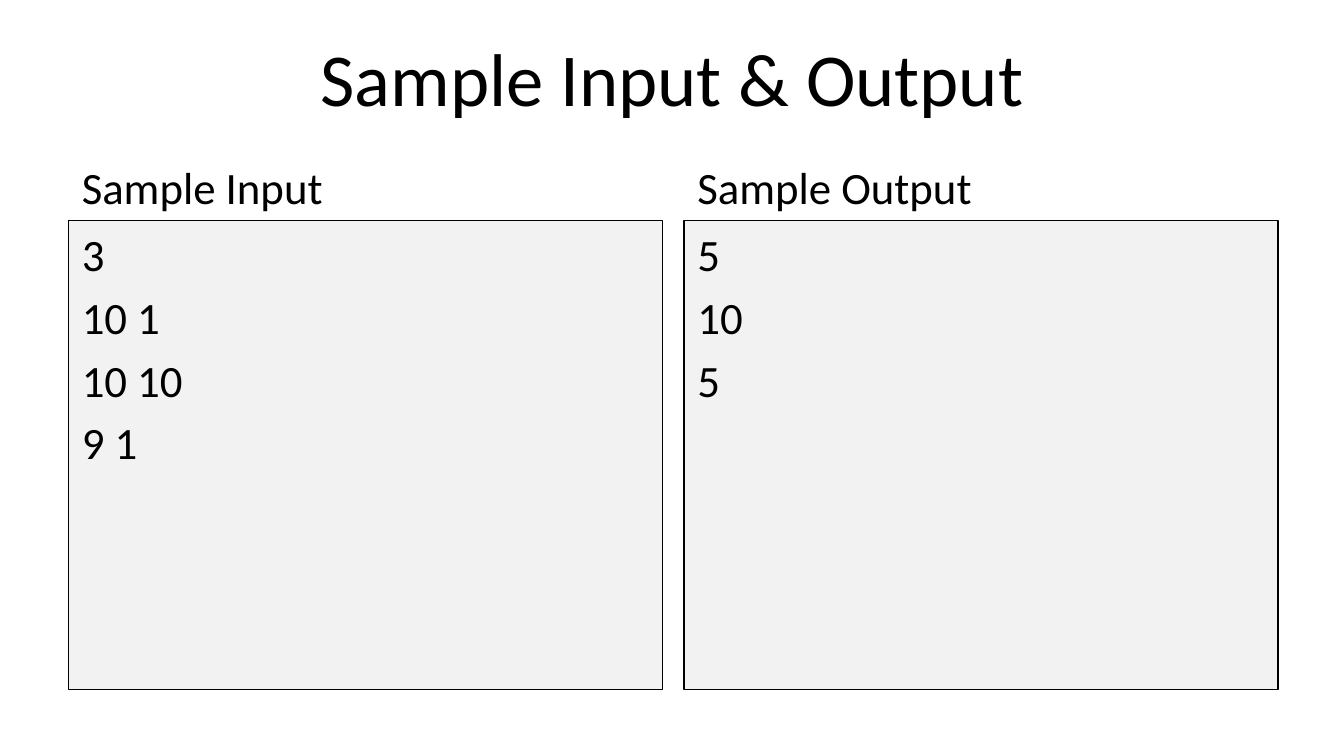
from dataclasses import dataclass

from pptx import Presentation
from pptx.dml.color import RGBColor
from pptx.enum.shapes import MSO_SHAPE
from pptx.enum.text import MSO_ANCHOR, PP_ALIGN
from pptx.shapes.autoshape import Shape
from pptx.slide import Slide
from pptx.util import Inches, Pt


@dataclass(frozen=True)
class Theme:
    """Colours, font and type sizes of the slide."""
    font: str = "Calibri"
    ink: RGBColor = RGBColor(0, 0, 0)
    panel: RGBColor = RGBColor(0xF2, 0xF2, 0xF2)
    title: float = 40
    body: float = 24
    gap: float = 4.8
    line: float = 1


@dataclass(frozen=True)
class Sample:
    """A headed panel of sample lines."""
    head: str
    lines: tuple[str, ...]


THEME = Theme()
SAMPLES = (
    Sample("Sample Input", ("3", "10 1", "10 10", "9 1")),
    Sample("Sample Output", ("5", "10", "5")),
)
LEFT, STEP, WIDTH = 0.51, 4.58, 4.42


def write(shape: Shape, lines: tuple[str, ...], size: float,
          anchor: MSO_ANCHOR, align: PP_ALIGN = PP_ALIGN.LEFT) -> None:
    """Fill a shape with one paragraph per line."""
    frame = shape.text_frame
    frame.word_wrap = True
    frame.vertical_anchor = anchor
    frame.text = "\n".join(lines)
    for index, para in enumerate(frame.paragraphs):
        para.alignment = align
        para.space_before = Pt(THEME.gap if index else 0)
        para.font.name = THEME.font
        para.font.size = Pt(size)
        para.font.color.rgb = THEME.ink


def add_title(slide: Slide, text: str) -> None:
    """Add the centred slide title."""
    box = slide.shapes.add_textbox(Inches(0.5), Inches(0.1), Inches(9), Inches(0.94))
    write(box, (text,), THEME.title, MSO_ANCHOR.MIDDLE, PP_ALIGN.CENTER)


def add_sample(slide: Slide, sample: Sample, left: float) -> None:
    """Add a heading with its outlined panel below."""
    head = slide.shapes.add_textbox(Inches(left), Inches(1.12), Inches(WIDTH), Inches(0.52))
    write(head, (sample.head,), THEME.body, MSO_ANCHOR.BOTTOM)
    panel = slide.shapes.add_shape(
        MSO_SHAPE.RECTANGLE, Inches(left), Inches(1.64), Inches(WIDTH), Inches(3.49))
    panel.shadow.inherit = False
    panel.fill.solid()
    panel.fill.fore_color.rgb = THEME.panel
    panel.line.color.rgb = THEME.ink
    panel.line.width = Pt(THEME.line)
    write(panel, sample.lines, THEME.body, MSO_ANCHOR.TOP)


def main() -> None:
    """Build and save the slide."""
    deck = Presentation()
    deck.slide_width = Inches(10)
    deck.slide_height = deck.slide_width * 9 // 16
    slide = deck.slides.add_slide(deck.slide_layouts[6])
    add_title(slide, "Sample Input & Output")
    for index, sample in enumerate(SAMPLES):
        add_sample(slide, sample, LEFT + index * STEP)
    deck.save("out.pptx")


if __name__ == "__main__":
    main()
